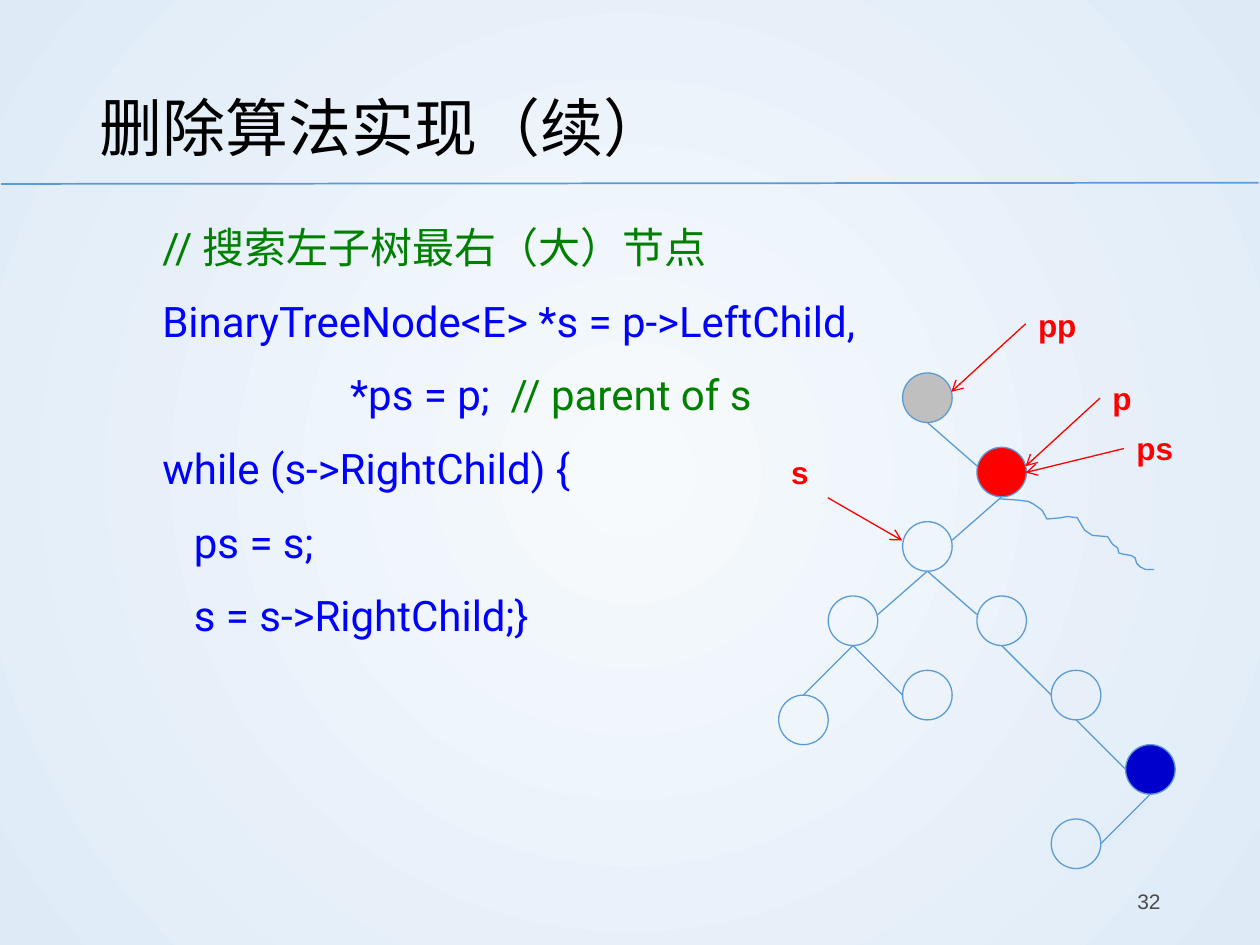
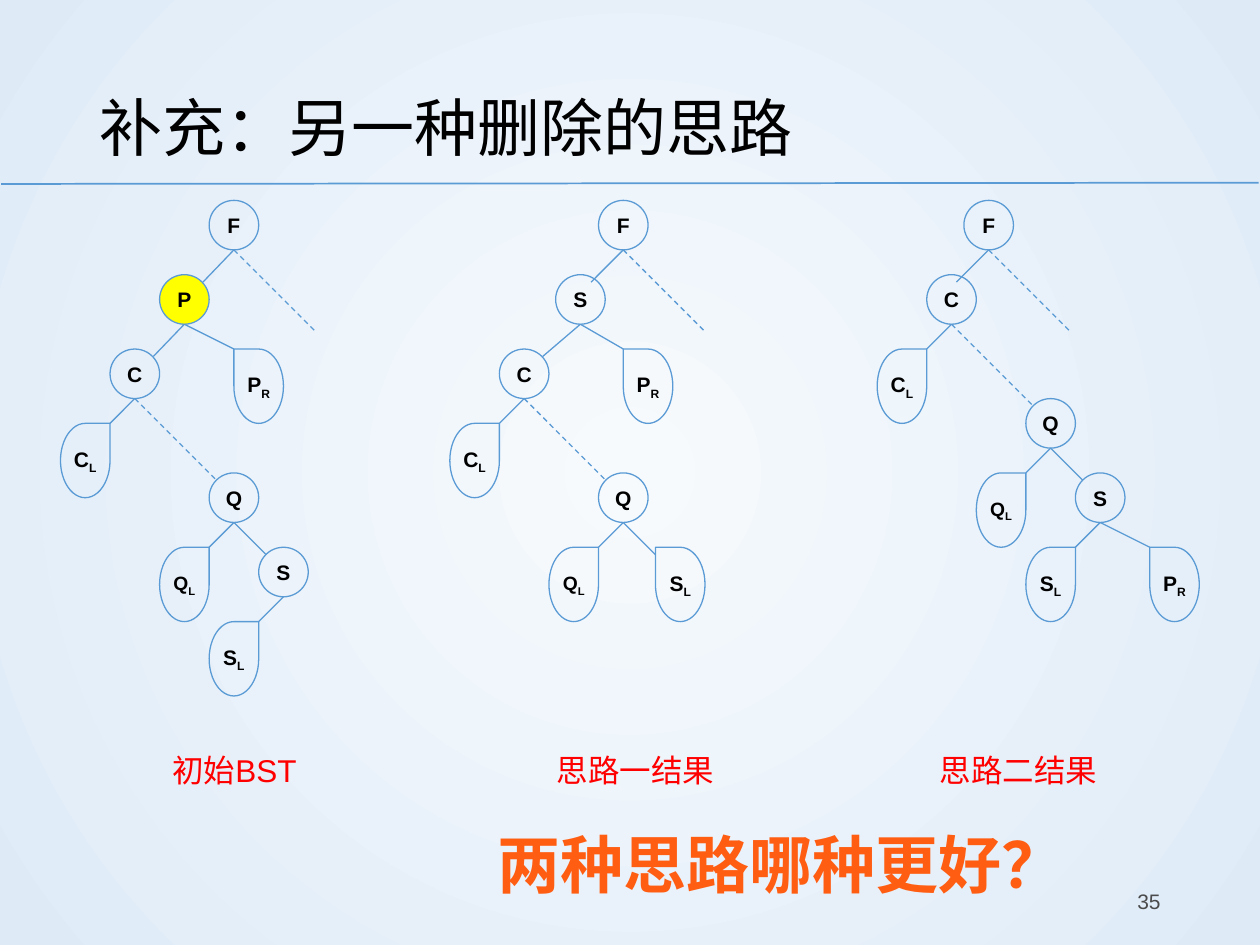
from lxml import etree
from pptx import Presentation
from pptx.dml.color import RGBColor
from pptx.enum import dml, shapes, text
from pptx.oxml import ns
from pptx.util import Inches, Pt

BLACK = RGBColor(0x00, 0x00, 0x00)
GRAY = RGBColor(0xBF, 0xBF, 0xBF)
DARK = RGBColor(0x4B, 0x4B, 0x4B)
RED = RGBColor(0xFF, 0x00, 0x00)
GREEN = RGBColor(0x00, 0x80, 0x00)
BLUE = RGBColor(0x00, 0x00, 0xFF)
NAVY = RGBColor(0x00, 0x00, 0xCC)
YELLOW = RGBColor(0xFF, 0xFF, 0x00)
ORANGE = RGBColor(0xFF, 0x5D, 0x12)
EDGE = RGBColor(0x5B, 0x9B, 0xD5)
PALE = RGBColor(0xF7, 0xFA, 0xFD)
SKY = RGBColor(0xDE, 0xEB, 0xF7)

UNIT = 0.59 / 3  # tree grid step; a circle is two steps wide


def write(para, words, size, color, bold=False, font="Arial"):
    run = para.add_run()
    run.text = words
    run.font.size = Pt(size)
    run.font.name = font
    run.font.bold = bold
    run.font.color.rgb = color
    return run


def link(slide, start, end, color=EDGE, width=0.75, dash=False, arrow=False):
    line = slide.shapes.add_connector(
        shapes.MSO_CONNECTOR.STRAIGHT, *[Inches(v) for v in (*start, *end)])
    line.line.color.rgb = color
    line.line.width = Pt(width)
    if dash:
        line.line.dash_style = dml.MSO_LINE.DASH
    props = line._element.spPr
    if arrow:
        etree.SubElement(props.find(ns.qn("a:ln")), ns.qn("a:tailEnd"), type="arrow")
    etree.SubElement(props, ns.qn("a:effectLst"))


deck = Presentation()
deck.slide_width, deck.slide_height = Inches(10), Inches(7.5)

# Shared background: round gradient on the master
master = deck.slide_master
fill = master.background.fill
fill.gradient()
for stop, color, place in zip(fill.gradient_stops, (PALE, SKY), (0, 1)):
    stop.color.rgb = color
    stop.position = place
grad = master._element.find(".//" + ns.qn("a:gradFill"))
grad.remove(grad.find(ns.qn("a:lin")))
ring = etree.SubElement(grad, ns.qn("a:path"), path="circle")
etree.SubElement(ring, ns.qn("a:fillToRect"), l="50000", t="50000", r="50000", b="50000")

# Title, rule and page number of each slide
pages = []
for name, number in (("删除算法实现（续）", "32"), ("补充：另一种删除的思路", "35")):
    slide = deck.slides.add_slide(deck.slide_layouts[5])
    pages.append(slide)
    link(slide, (0.01, 1.46), (9.99, 1.45), width=1)
    title = slide.shapes.title
    title.left, title.top = Inches(0.69), Inches(0.4)
    title.width, title.height = Inches(8.62), Inches(1.08)
    title.text_frame.auto_size = text.MSO_AUTO_SIZE.NONE
    title.text_frame.vertical_anchor = text.MSO_ANCHOR.MIDDLE
    para = title.text_frame.paragraphs[0]
    para.alignment = text.PP_ALIGN.LEFT
    para.line_spacing = 1.2
    write(para, name, 36, BLACK)
    foot = slide.shapes.add_textbox(Inches(7.06), Inches(6.95), Inches(2.25), Inches(0.4))
    foot.text_frame.vertical_anchor = text.MSO_ANCHOR.MIDDLE
    para = foot.text_frame.paragraphs[0]
    para.alignment = text.PP_ALIGN.RIGHT
    write(para, number, 12, DARK)
search, compare = pages

# Code: left indent in inches, then the runs of the line
code = [
    (0.5, [("// 搜索左子树最右（大）节点", GREEN)]),
    (0.5, [("BinaryTreeNode<E> *s = p->LeftChild,", BLUE)]),
    (1.99, [("*ps = p;", BLUE), ("  // parent of s", GREEN)]),
    (0.5, [("while (s->RightChild) {", BLUE)]),
    (0.75, [("ps = s;", BLUE)]),
    (0.75, [("s = s->RightChild;}", BLUE)]),
]
body = search.shapes.add_textbox(Inches(0.69), Inches(1.63), Inches(8.62), Inches(5.13))
body.text_frame.word_wrap = True
for i, (indent, runs) in enumerate(code):
    para = body.text_frame.add_paragraph() if i else body.text_frame.paragraphs[0]
    para._p.get_or_add_pPr().set("marL", str(Inches(indent)))
    para.line_spacing = 1.2
    if i:
        para.space_before = Pt(7.5)
    for words, color in runs:
        write(para, words, 24, color, font="Roboto")

# Trees. Node: parent, column, row, kind, label, fill, entry of the edge, dashed
# Kinds: O circle, L subtree with its tip at the right, R tip at the left
NE, NW, TOP = (1.75, 0.3), (0.3, 0.3), (1, 0)
TIP_L, TIP_R = (2, 0), (0, 0)
WEST, EAST, HIGH_W, HIGH_E = (0, 1), (2, 1), (0, 0.75), (2, 0.75)
trees = [
    (search, 6.18, 2.96, [
        (None, 5, 0, "O", "", GRAY, None, False),
        (0, 8, 3, "O", "", RED, HIGH_W, False),
        (1, 5, 6, "O", "", None, HIGH_E, False),
        (2, 2, 9, "O", "", None, HIGH_E, False),
        (2, 8, 9, "O", "", None, HIGH_W, False),
        (3, 0, 13, "O", "", None, TOP, False),
        (3, 5, 12, "O", "", None, WEST, False),
        (4, 11, 12, "O", "", None, WEST, False),
        (7, 14, 15, "O", "", NAVY, WEST, False),
        (8, 11, 18, "O", "", None, EAST, False)]),
    (compare, 1.66, 1.59, [
        (None, 0, 0, "O", "F", None, None, False),
        (0, -2, 3, "O", "P", YELLOW, NE, False),
        (1, -4, 6, "O", "C", None, NE, False),
        (1, 1, 6, "R", "PR", None, TIP_R, False),
        (2, -6, 9, "L", "CL", None, TIP_L, False),
        (2, 0, 11, "O", "Q", None, NW, True),
        (5, -2, 14, "L", "QL", None, TIP_L, False),
        (5, 2, 14, "O", "S", None, NW, False),
        (7, 0, 17, "L", "SL", None, TIP_L, False)]),
    (compare, 4.75, 1.59, [
        (None, 0, 0, "O", "F", None, None, False),
        (0, -1.73, 3, "O", "S", None, (1.43, 0.3), False),
        (1, -4, 6, "O", "C", None, NE, False),
        (1, 1, 6, "R", "PR", None, TIP_R, False),
        (2, -6, 9, "L", "CL", None, TIP_L, False),
        (2, 0, 11, "O", "Q", None, NW, True),
        (5, -2, 14, "L", "QL", None, TIP_L, False),
        (5, 2.3, 14, "R", "SL", None, (0, 0.3), False)]),
    (compare, 7.65, 1.59, [
        (None, 0, 0, "O", "F", None, None, False),
        (0, -1.5, 3, "O", "C", None, (1.2, 0.3), False),
        (1, -3.5, 6, "L", "CL", None, TIP_L, False),
        (1, 2.5, 8, "O", "Q", None, NW, True),
        (3, 0.5, 11, "L", "QL", None, TIP_L, False),
        (3, 4.5, 11, "O", "S", None, NW, False),
        (5, 2.5, 14, "L", "SL", None, TIP_L, False),
        (5, 7.5, 14, "R", "PR", None, TIP_R, False)]),
]
for slide, left, top, nodes in trees:
    for parent, col, row, kind, label, color, entry, dash in nodes:
        x, y = left + col * UNIT, top + row * UNIT
        form = shapes.MSO_SHAPE.OVAL if kind == "O" else shapes.MSO_SHAPE.TEAR
        tall = 2 if kind == "O" else 3
        node = slide.shapes.add_shape(
            form, Inches(x), Inches(y), Inches(2 * UNIT), Inches(tall * UNIT))
        node.shadow.inherit = False
        node.line.color.rgb = EDGE
        node.line.width = Pt(0.75)
        if color:
            node.fill.solid()
            node.fill.fore_color.rgb = color
        else:
            node.fill.background()
        if kind == "R":
            node._element.spPr.xfrm.set("flipH", "1")
        if label:
            frame = node.text_frame
            frame.word_wrap = False
            frame.margin_left = frame.margin_right = 0
            frame.margin_top = frame.margin_bottom = 0
            frame.vertical_anchor = text.MSO_ANCHOR.MIDDLE
            para = frame.paragraphs[0]
            para.alignment = text.PP_ALIGN.CENTER
            size = 11 if label == "QL" else 12
            write(para, label[0], size, BLACK, True)
            if label[1:]:
                sub = write(para, label[1:], size, BLACK, True)
                sub._r.get_or_add_rPr().set("baseline", "-25000")
        if parent is not None:
            _, pcol, prow, *_ = nodes[parent]
            start = left + (pcol + 1) * UNIT, top + (prow + 2) * UNIT
            link(slide, start, (x + entry[0] * UNIT, y + entry[1] * UNIT), dash=dash)
    if slide is compare:  # right branch of F, left open
        link(slide, (left + UNIT, top + 2 * UNIT),
             (left + 4.3 * UNIT, top + 5.3 * UNIT), dash=True)

# Wavy right branch of the red node
wave = [(8.08, 3.97), (8.16, 3.98), (8.2, 4), (8.23, 4.02), (8.27, 4.05), (8.31, 4.12),
        (8.42, 4.11), (8.47, 4.1), (8.55, 4.11), (8.59, 4.18), (8.61, 4.21),
        (8.67, 4.25), (8.79, 4.26), (8.83, 4.32), (8.87, 4.35), (8.88, 4.39),
        (8.92, 4.4), (8.98, 4.41), (9.01, 4.43), (9.02, 4.47), (9.05, 4.5),
        (9.09, 4.52), (9.16, 4.52)]
pen = search.shapes.build_freeform(Inches(7.94), Inches(3.96))
pen.add_line_segments([(Inches(x), Inches(y)) for x, y in wave], close=False)
branch = pen.convert_to_shape()
branch.shadow.inherit = False
branch.fill.background()
branch.line.color.rgb = EDGE
branch.line.width = Pt(0.75)

# Pointers: label place, arrow start and end
pointers = [
    ("pp", (8.14, 2.38), (8.14, 2.57), (7.55, 3.11)),
    ("p", (8.73, 2.96), (8.73, 3.16), (8.14, 3.7)),
    ("ps", (8.92, 3.36), (8.92, 3.56), (8.14, 3.75)),
    ("s", (6.18, 3.55), (6.57, 3.95), (7.16, 4.29)),
]
for name, (x, y), start, end in pointers:
    link(search, start, end, RED, arrow=True)
    tag = search.shapes.add_textbox(Inches(x), Inches(y), Inches(0.59), Inches(0.4))
    write(tag.text_frame.paragraphs[0], name, 18, RED, True)

# Captions under the three trees
for name, x in (("初始BST", 1.27), ("思路一结果", 4.32), ("思路二结果", 7.36)):
    tag = compare.shapes.add_textbox(Inches(x), Inches(5.91), Inches(1.6), Inches(0.4))
    write(tag.text_frame.paragraphs[0], name, 18, RED)

# Closing question
ask = compare.shapes.add_textbox(Inches(3.82), Inches(6.5), Inches(4.76), Inches(0.71))
para = ask.text_frame.paragraphs[0]
para.alignment = text.PP_ALIGN.CENTER
write(para, "两种思路哪种更好？", 36, ORANGE, True)

deck.save("out.pptx")
